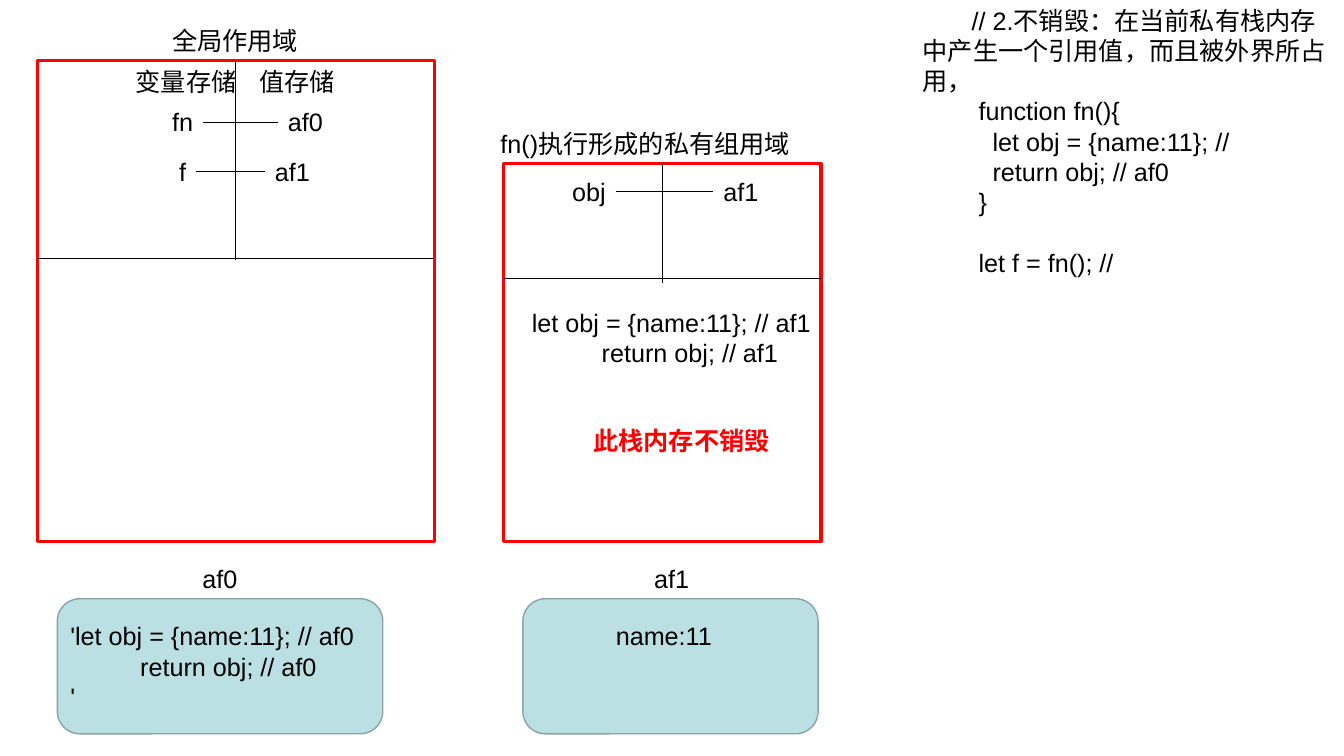
from lxml.etree import SubElement
from pptx import Presentation
from pptx.dml.color import RGBColor
from pptx.enum.shapes import MSO_CONNECTOR, MSO_SHAPE
from pptx.enum.text import MSO_AUTO_SIZE
from pptx.oxml.ns import qn
from pptx.util import Pt

BLACK = RGBColor(0x00, 0x00, 0x00)
WHITE = RGBColor(0xFF, 0xFF, 0xFF)
RED = RGBColor(0xFF, 0x00, 0x00)
HEAP_FILL = RGBColor(0xBB, 0xE0, 0xE3)
HEAP_LINE = RGBColor(0x89, 0xA4, 0xA7)

LINE_HEIGHT = 21.6
TOP, LEFT, RIGHT = 0, 1, 3  # connection sites

NOTES = [
    "       // 2.不销毁：在当前私有栈内存中产生一个引用值，而且被外界所占用，",
    "        function fn(){",
    "          let obj = {name:11}; //",
    "          return obj; // af0",
    "        }",
    "        let f = fn(); //",
]


def add_text(page, left, top, width, *lines, wrap=False, color=BLACK, bold=False):
    height = LINE_HEIGHT * len(lines) + 7.2
    box = page.shapes.add_textbox(Pt(left), Pt(top), Pt(width), Pt(height))
    frame = box.text_frame
    frame.word_wrap = wrap
    frame.auto_size = MSO_AUTO_SIZE.SHAPE_TO_FIT_TEXT
    for index, line in enumerate(lines):
        para = frame.paragraphs[0] if index == 0 else frame.add_paragraph()
        span = para.add_run()
        span.text = line
        span.font.color.rgb = color
        for name, value in {"name": "Arial", "size": Pt(18), "bold": bold}.items():
            setattr(span.font, name, value)
    return box


def add_block(page, kind, left, top, width, height, fill, line, weight):
    block = page.shapes.add_shape(kind, Pt(left), Pt(top), Pt(width), Pt(height))
    block.shadow.inherit = False
    block.fill.solid()
    block.fill.fore_color.rgb = fill
    block.line.color.rgb = line
    block.line.width = Pt(weight)
    return block


def add_line(page, x1, y1, x2, y2):
    line = page.shapes.add_connector(
        MSO_CONNECTOR.STRAIGHT, Pt(x1), Pt(y1), Pt(x2), Pt(y2))
    line.line.color.rgb = BLACK
    line.line.width = Pt(0.5)
    SubElement(line._element.spPr, qn("a:effectLst"))
    return line


def add_scope(page, left, top, width, height, divider, stem_end):
    """Draw a red stack frame whose upper part is split into two columns."""
    frame = add_block(page, MSO_SHAPE.RECTANGLE, left, top, width, height,
                      WHITE, RED, 2.25)
    add_line(page, left, divider, left + width, divider)
    middle = left + width / 2
    stem = add_line(page, middle, top, middle, stem_end)
    stem.begin_connect(frame, TOP)


def add_binding(page, top, name, name_left, name_width, value, value_left):
    """Write a variable and its value, joined by a line."""
    name_box = add_text(page, name_left, top, name_width, name)
    value_box = add_text(page, value_left, top, 39.6, value)
    middle = top + 14.4
    link = add_line(page, name_left + name_width, middle, value_left, middle)
    link.begin_connect(name_box, RIGHT)
    link.end_connect(value_box, LEFT)


def add_heap(page, left, width, address, address_left):
    add_block(page, MSO_SHAPE.ROUNDED_RECTANGLE, left, 427.7, width, 96.5,
              HEAP_FILL, HEAP_LINE, 1)
    add_text(page, address_left, 398.9, 39.6, address)


def main():
    deck = Presentation()
    deck.slide_width, deck.slide_height = Pt(960.5), Pt(540)
    page = deck.slides.add_slide(deck.slide_layouts[6])

    notes = add_text(page, 652.3, 0, 308.2, *NOTES, wrap=True)
    notes.text_frame.paragraphs[-1].space_before = Pt(LINE_HEIGHT)

    add_scope(page, 26.6, 43.2, 283.7, 343.4, 184.6, 185.4)
    add_text(page, 115.9, 14.4, 106, "全局作用域")
    add_text(page, 90, 43.9, 88, "变量存储")
    add_text(page, 178.4, 43.9, 70, "值存储")
    add_binding(page, 72.7, "fn", 115.9, 29.5, "af0", 198.7)
    add_binding(page, 108, "f", 121, 19.4, "af1", 189.4)

    add_scope(page, 360, 117, 226.8, 270, 199.1, 202.3)
    add_text(page, 350.6, 87.8, 236, "fn()执行形成的私有组用域")
    add_binding(page, 122.4, "obj", 401.8, 38.2, "af1", 509.8)
    add_text(page, 373, 216, 214.6, "let obj = {name:11}; // af1",
             "          return obj; // af1")
    add_text(page, 416.9, 300.2, 142, "此栈内存不销毁", color=RED, bold=True)

    add_heap(page, 41, 232.6, "af0", 137.5)
    add_text(page, 43.2, 439.9, 218.2, "'let obj = {name:11}; // af0",
             "          return obj; // af0", "'")
    add_heap(page, 373.7, 211, "af1", 460.4)
    add_text(page, 433, 439.9, 84.2, "name:11")

    deck.save("out.pptx")


if __name__ == "__main__":
    main()
